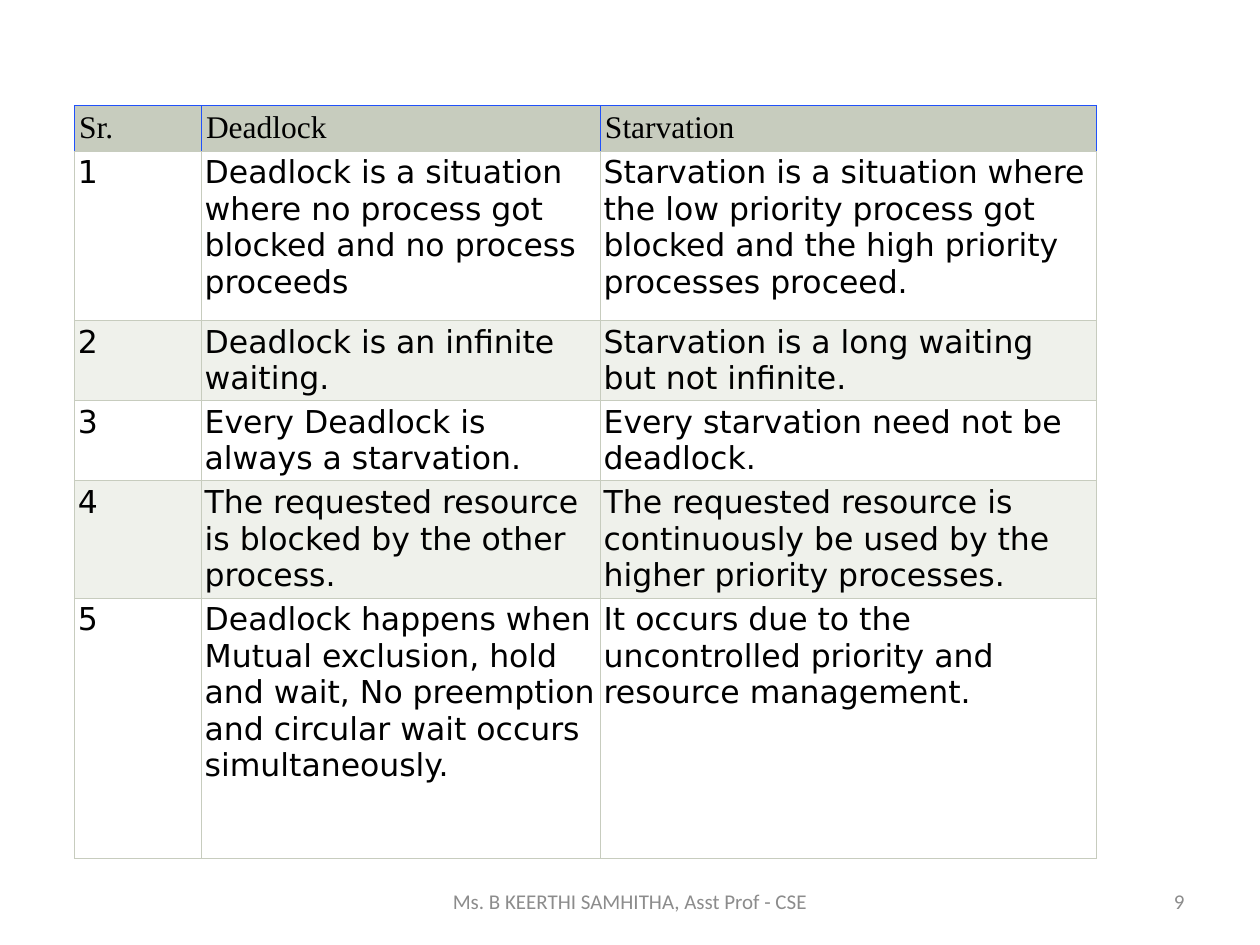
from dataclasses import dataclass

from lxml.etree import SubElement
from pptx import Presentation
from pptx.dml.color import RGBColor
from pptx.enum.text import MSO_ANCHOR, PP_ALIGN
from pptx.oxml.ns import qn
from pptx.util import Pt


@dataclass(frozen=True)
class Theme:
    header_fill: str = "C7CCBE"
    band_fill: str = "EFF1EB"
    plain_fill: str = "FFFFFF"
    grid: str = "C7CCBE"
    header_line: str = "2051FA"
    text: str = "000000"
    footer: str = "8C8C8C"
    header_font: str = "Times New Roman"
    body_font: str = "DejaVu Sans"
    footer_font: str = "Calibri"
    table_size: int = 18
    footer_size: int = 12


theme = Theme()


def style_text(frame, font, size, color):
    for para in frame.paragraphs:
        for span in para.runs:
            span.font.name = font
            span.font.size = Pt(size)
            span.font.color.rgb = RGBColor.from_string(color)


def add_borders(cell, colors):
    """Draw half-point cell borders; colors run left, right, top, bottom."""
    properties = cell._tc.get_or_add_tcPr()
    for side, color in zip("LRTB", colors):
        line = SubElement(properties, qn(f"a:ln{side}"), w=str(Pt(0.5)))
        fill = SubElement(line, qn("a:solidFill"))
        SubElement(fill, qn("a:srgbClr"), val=color)


deck = Presentation()
deck.slide_width, deck.slide_height = Pt(720), Pt(540)
page = deck.slides.add_slide(deck.slide_layouts[6])

# Comparison table
rows = [
    ("Sr.", "Deadlock", "Starvation"),
    ("1", "Deadlock is a situation where no process got blocked and no process proceeds",
     "Starvation is a situation where the low priority process got blocked "
     "and the high priority processes proceed."),
    ("2", "Deadlock is an infinite waiting.",
     "Starvation is a long waiting but not infinite."),
    ("3", "Every Deadlock is always a starvation.",
     "Every starvation need not be deadlock."),
    ("4", "The requested resource is blocked by the other process.",
     "The requested resource is continuously be used by the higher priority processes."),
    ("5", "Deadlock happens when Mutual exclusion, hold and wait, No preemption "
     "and circular wait occurs simultaneously.",
     "It occurs due to the uncontrolled priority and resource management."),
]
column_widths = [72.5, 228, 283.5]
row_heights = [26, 97, 45.5, 45.5, 67, 149]

table = page.shapes.add_table(
    len(rows), len(column_widths), Pt(42.5), Pt(60.25),
    Pt(sum(column_widths)), Pt(sum(row_heights))).table
for column, width in zip(table.columns, column_widths):
    column.width = Pt(width)

for row_index, (row, texts, height) in enumerate(zip(table.rows, rows, row_heights)):
    row.height = Pt(height)
    if row_index == 0:
        fill, font, margin = theme.header_fill, theme.header_font, Pt(2.75)
        borders = [theme.header_line] * 3 + [theme.grid]
    else:
        fill = theme.plain_fill if row_index % 2 else theme.band_fill
        font, margin = theme.body_font, Pt(2)
        borders = [theme.grid] * 4
    for cell, text in zip(row.cells, texts):
        cell.text_frame.text = text
        cell.margin_left = cell.margin_right = margin
        cell.margin_top = cell.margin_bottom = margin
        style_text(cell.text_frame, font, theme.table_size, theme.text)
        add_borders(cell, borders)
        cell.fill.solid()
        cell.fill.fore_color.rgb = RGBColor.from_string(fill)

# Footer and page number
for text, left, width, alignment in [
    ("Ms. B KEERTHI SAMHITHA, Asst Prof - CSE", 246, 228, PP_ALIGN.CENTER),
    ("9", 516, 168, PP_ALIGN.RIGHT),
]:
    box = page.shapes.add_textbox(Pt(left), Pt(500.5), Pt(width), Pt(28.75))
    frame = box.text_frame
    frame.word_wrap = True
    frame.vertical_anchor = MSO_ANCHOR.MIDDLE
    frame.text = text
    frame.paragraphs[0].alignment = alignment
    style_text(frame, theme.footer_font, theme.footer_size, theme.footer)

deck.save("out.pptx")
